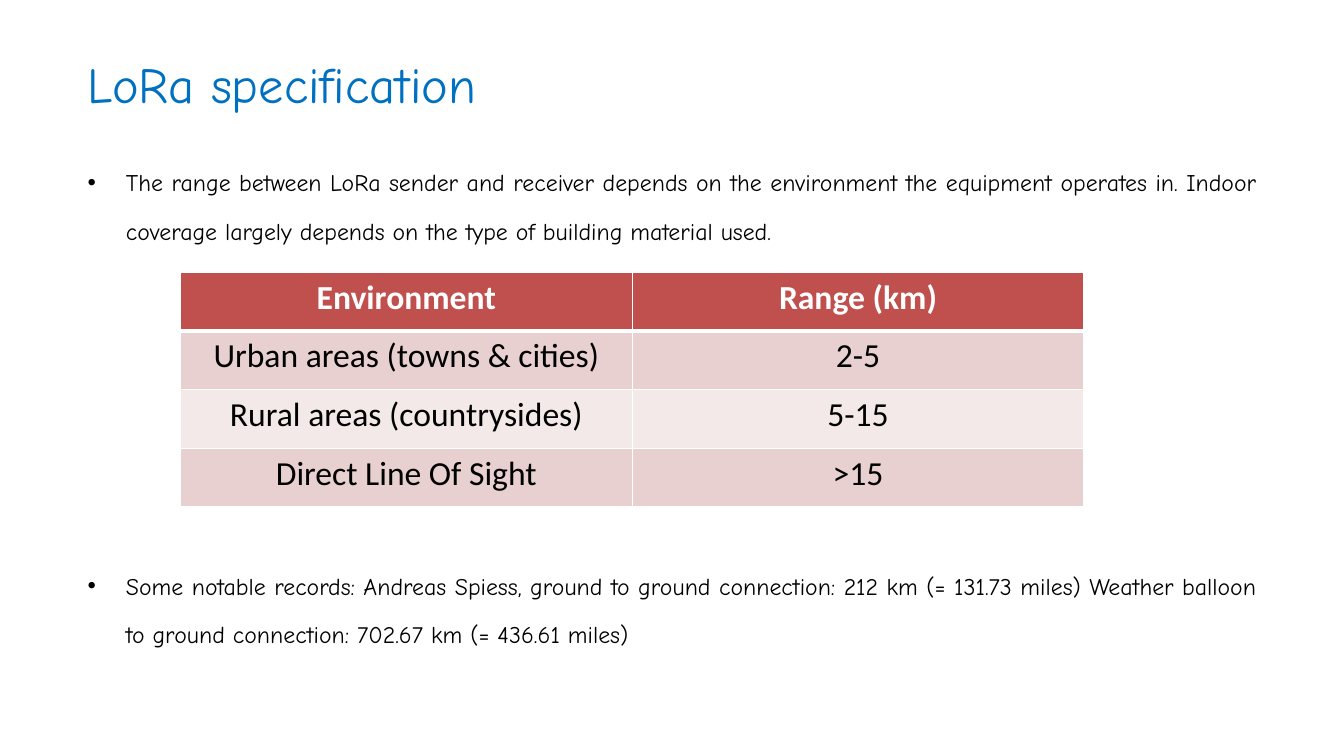
from lxml.etree import SubElement
from pptx import Presentation
from pptx.dml.color import RGBColor
from pptx.enum.text import MSO_ANCHOR, MSO_AUTO_SIZE, PP_ALIGN
from pptx.oxml import parse_xml
from pptx.oxml.ns import nsdecls, qn
from pptx.util import Inches, Pt

COLORS = {
    "title": "0070C0",
    "text": "000000",
    "header": "C0504D",
    "band_dark": "E8D0D0",
    "band_light": "F4E9E9",
    "white": "FFFFFF",
}
TEXT_FONT = "Comic Neue"
TABLE_FONT = "Calibri"
GRID = 100  # columns and rows across the slide
MARGIN, CONTENT_WIDTH = 5.78, 88.52

RANGES = [
    ("Environment", "Range (km)"),
    ("Urban areas (towns & cities)", "2-5"),
    ("Rural areas (countrysides)", "5-15"),
    ("Direct Line Of Sight", ">15"),
]


def write(frame, text, *, size, font, color, bold=False, align=PP_ALIGN.LEFT):
    paragraph = frame.paragraphs[0]
    paragraph.alignment = align
    run = paragraph.add_run()
    run.text = text
    run.font.size = Pt(size)
    run.font.name = font
    run.font.bold = bold
    run.font.color.rgb = RGBColor.from_string(COLORS[color])
    return paragraph


def set_borders(cell, bottom):
    """Draw white cell borders, with the bottom one of its own width."""
    properties = cell._tc.get_or_add_tcPr()
    widths = {"lnL": 1, "lnR": 1, "lnT": 1, "lnB": bottom}
    for position, (side, width) in enumerate(widths.items()):
        properties.insert(position, parse_xml(
            f'<a:{side} {nsdecls("a")} w="{Pt(width)}"><a:solidFill>'
            f'<a:srgbClr val="{COLORS["white"]}"/></a:solidFill></a:{side}>'))


class RangeSlide:
    def __init__(self, presentation):
        self.column = presentation.slide_width / GRID
        self.row = presentation.slide_height / GRID
        self.slide = presentation.slides.add_slide(presentation.slide_layouts[5])

    def box(self, left, top, width, height):
        """Turn grid columns and rows into slide lengths."""
        return (round(left * self.column), round(top * self.row),
                round(width * self.column), round(height * self.row))

    def title(self, text, *area):
        heading = self.slide.shapes.title
        heading.left, heading.top, heading.width, heading.height = self.box(*area)
        frame = heading.text_frame
        frame.auto_size = MSO_AUTO_SIZE.NONE
        frame.vertical_anchor = MSO_ANCHOR.MIDDLE
        write(frame, text, size=36, font=TEXT_FONT, color="title")

    def bullet(self, text, *area):
        frame = self.slide.shapes.add_textbox(*self.box(*area)).text_frame
        frame.word_wrap = True
        paragraph = write(frame, text, size=17, font=TEXT_FONT, color="text",
                          align=PP_ALIGN.JUSTIFY)
        paragraph.line_spacing = 1.7
        paragraph.space_before = Pt(3.4)
        properties = paragraph._p.get_or_add_pPr()
        indent = Inches(0.38)
        properties.set("marL", str(indent))
        properties.set("indent", str(-indent))
        SubElement(properties, qn("a:buFont")).set("typeface", "Arial")
        SubElement(properties, qn("a:buChar")).set("char", "•")

    def table(self, rows, *area):
        grid = self.slide.shapes.add_table(
            len(rows), len(rows[0]), *self.box(*area)).table
        for row_index, row in enumerate(rows):
            is_header = row_index == 0
            band = "band_dark" if row_index % 2 else "band_light"
            for column_index, text in enumerate(row):
                cell = grid.cell(row_index, column_index)
                cell.fill.solid()
                cell.fill.fore_color.rgb = RGBColor.from_string(
                    COLORS["header" if is_header else band])
                # The header's bottom edge is shared with the first body row.
                set_borders(cell, bottom=3 if is_header else 1)
                if row_index == 1:
                    top_edge = cell._tc.tcPr.find(qn("a:lnT"))
                    top_edge.set("w", str(Pt(3)))
                write(cell.text_frame, text, size=24, font=TABLE_FONT,
                      color="white" if is_header else "text",
                      bold=is_header, align=PP_ALIGN.CENTER)


def main():
    presentation = Presentation()
    presentation.slide_width = Inches(13.33)
    presentation.slide_height = Inches(7.5)
    page = RangeSlide(presentation)
    page.title("LoRa specification", MARGIN, 5.47, CONTENT_WIDTH, 11.2)
    page.bullet(
        "The range between LoRa sender and receiver depends on the environment "
        "the equipment operates in. Indoor coverage largely depends on the type "
        "of building material used.",
        MARGIN, 18.93, CONTENT_WIDTH, 14.67)
    page.table(RANGES, 13.43, 36, 67.22, 31.07)
    page.bullet(
        "Some notable records: Andreas Spiess, ground to ground connection: "
        "212 km (= 131.73 miles) Weather balloon to ground connection: "
        "702.67 km (= 436.61 miles)",
        MARGIN, 72.27, CONTENT_WIDTH, 14.67)
    presentation.save("out.pptx")


if __name__ == "__main__":
    main()
